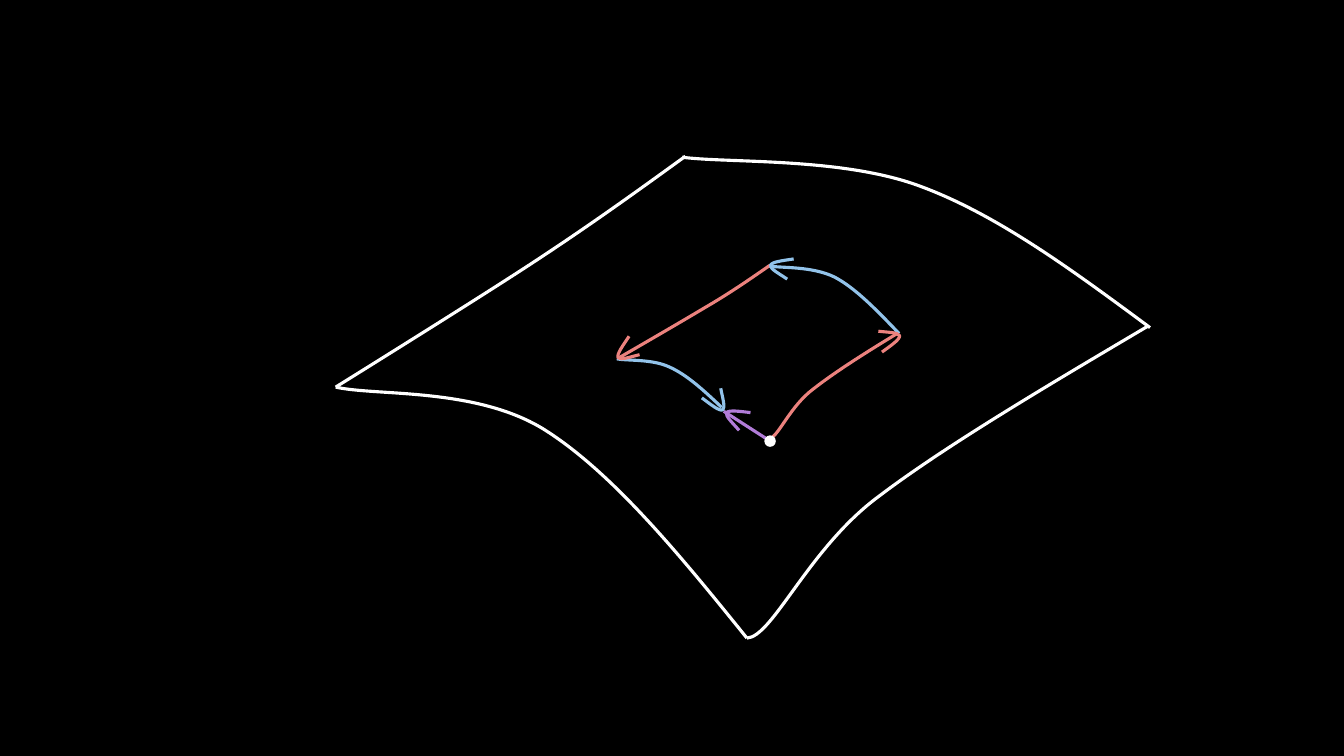
import pptx
import pptx.dml.color
import pptx.enum.shapes
import pptx.oxml.ns
import pptx.util
from lxml import etree

Pt = pptx.util.Pt
qn = pptx.oxml.ns.qn

COLORS = {"black": "000000", "white": "FFFFFF", "red": "EC827E",
          "blue": "92C3EA", "purple": "B17CD8"}

# Each curve is a start point followed by triples of Bezier points.
SURFACE_EDGES = [
    [(821.5, 234), (766, 193), (711.4, 152.6), (655.9, 132.5),
     (600.5, 112.3), (519.8, 116.6), (487.4, 112.3)],
    [(533.5, 455.8), (485.3, 396), (436.3, 336.2), (387.4, 306),
     (338.4, 276.5), (267.8, 283), (239.8, 276.5)],
    [(489.6, 111.6), (455.8, 136.1), (421.9, 160.6), (380.2, 187.9),
     (338.4, 215.3), (239.8, 276.5), (239.8, 276.5)],
    [(819.4, 233.3), (745.2, 277.2), (671, 321.1), (623.5, 357.8),
     (576, 395.3), (551.5, 455), (533.5, 455.8)],
]
LOOP_SIDES = [
    ("red", [(640.8, 238.3), (617, 252.7), (593.3, 267.8), (578.2, 280.1),
             (563, 293), (555.1, 313.2), (549.4, 313.2)]),
    ("blue", [(642.2, 238.3), (627.1, 222.5), (611.3, 205.9), (596.2, 198),
              (580.3, 190.1), (558, 191.5), (549.4, 190.1)]),
    ("red", [(550.1, 189.4), (535.7, 199.4), (521.3, 209.5), (502.6, 220.3),
             (484.6, 231.1), (442.1, 255.6), (442.1, 255.6)]),
    ("blue", [(515.5, 290.9), (503.3, 279.4), (491, 267.8), (478.1, 262.1),
              (465.8, 256.3), (447.8, 257.8), (440.6, 256.3)]),
]
HEAD = [(16.8, 0), (9, 1.2), (1.2, 2), (0.2, 4.6),
        (0, 7.2), (7, 10.8), (12.2, 14.4)]
LOOP_HEADS = [("blue", 550.1, 185, 0), ("red", 440.6, 244.1, 312.4),
              ("blue", 504, 277.9, 225.2), ("red", 625.7, 234, 152.4)]


def rgb(name):
    return pptx.dml.color.RGBColor.from_string(COLORS[name])


def set_line(shape, color, width=2.25):
    shape.line.color.rgb = rgb(color)
    shape.line.width = Pt(width)


def add_curve(shapes, points, color):
    """Draw an open Bezier curve, turning each three segments into one cubic."""
    start, *rest = [(Pt(x), Pt(y)) for x, y in points]
    builder = shapes.build_freeform(*start)
    builder.add_line_segments(rest, close=False)
    sp = builder.convert_to_shape()
    sp.fill.background()
    sp.shadow.inherit = False
    set_line(sp, color)
    outline = sp.element.find(".//" + qn("a:path"))
    segments = outline.findall(qn("a:lnTo"))
    for i in range(0, len(segments), 3):
        cubic = etree.SubElement(outline, qn("a:cubicBezTo"))
        for segment in segments[i:i + 3]:
            cubic.append(segment[0])
            outline.remove(segment)
    return sp


def add_head(shapes, color, left, top, rotation):
    points = [(left + x, top + y) for x, y in HEAD]
    add_curve(shapes, points, color).rotation = rotation


def add_straight(shapes, x1, y1, x2, y2, color):
    line = shapes.add_connector(pptx.enum.shapes.MSO_CONNECTOR.STRAIGHT,
                                Pt(x1), Pt(y1), Pt(x2), Pt(y2))
    set_line(line, color)
    etree.SubElement(line.element.spPr, qn("a:effectLst"))


def add_dot(shapes, left, top, size, color):
    sp = shapes.add_shape(pptx.enum.shapes.MSO_SHAPE.OVAL,
                          Pt(left), Pt(top), Pt(size), Pt(size))
    sp.shadow.inherit = False
    sp.fill.solid()
    sp.fill.fore_color.rgb = rgb(color)
    set_line(sp, color, 1)


def main():
    prs = pptx.Presentation()
    prs.slide_width, prs.slide_height = Pt(960), Pt(540)
    s = prs.slides.add_slide(prs.slide_layouts[6])
    s.background.fill.solid()
    s.background.fill.fore_color.rgb = rgb("black")

    add_straight(s.shapes, 549.4, 314.6, 517, 293.8, "purple")
    for points in SURFACE_EDGES:
        add_curve(s.shapes, points, "white")

    loop = s.shapes.add_group_shape().shapes
    for color, points in LOOP_SIDES:
        add_curve(loop, points, color)
    for head in LOOP_HEADS:
        add_head(loop, *head)
    add_dot(loop, 546.5, 311.5, 7.2, "white")

    add_head(s.shapes, "purple", 517.7, 292.3, 14.9)
    prs.save("out.pptx")


if __name__ == "__main__":
    main()
